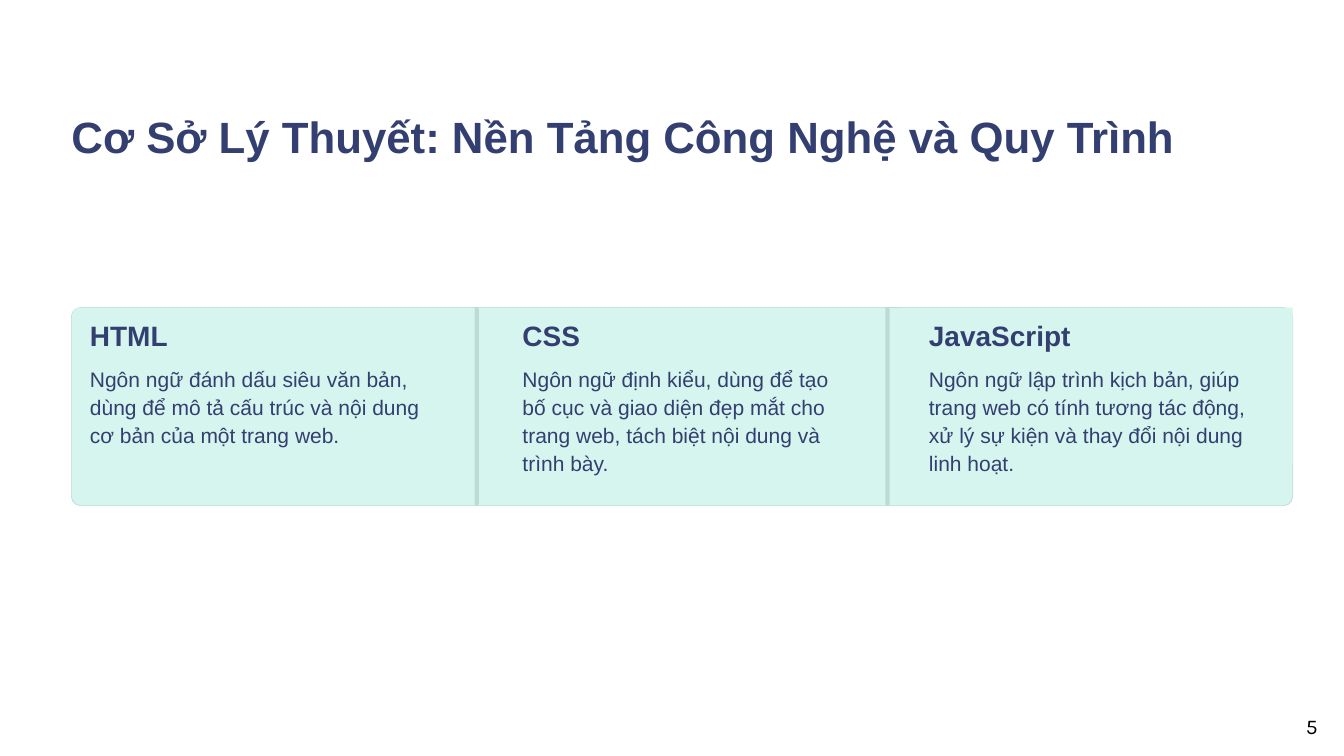
from dataclasses import dataclass

from pptx import Presentation
from pptx.dml.color import RGBColor
from pptx.enum.shapes import MSO_SHAPE
from pptx.enum.text import MSO_ANCHOR, MSO_AUTO_SIZE, PP_ALIGN
from pptx.util import Cm, Pt


@dataclass(frozen=True)
class Theme:
    ink: str = "333F70"
    mint: str = "D6F5EE"
    edge: str = "BCDBD4"
    black: str = "000000"
    font: str = "Arial"
    number_font: str = "Karla"
    title_size: float = 37.5
    heading_size: float = 24
    body_size: float = 18


class SlideBuilder:
    def __init__(self, presentation, theme):
        self.theme = theme
        self.slide = presentation.slides.add_slide(presentation.slide_layouts[5])

    def set_text(self, shape, text, size, spacing=None, bold=False, color=None, font=None, inset=0):
        frame = shape.text_frame
        frame.word_wrap = True
        frame.auto_size = MSO_AUTO_SIZE.NONE
        frame.vertical_anchor = MSO_ANCHOR.TOP
        frame.margin_left = frame.margin_right = Cm(inset)
        frame.margin_top = frame.margin_bottom = Cm(inset / 2)
        paragraph = frame.paragraphs[0]
        paragraph.alignment = PP_ALIGN.LEFT
        if spacing:
            paragraph.line_spacing = Pt(spacing)
        run = paragraph.add_run()
        run.text = text
        run.font.size = Pt(size)
        run.font.bold = bold
        run.font.name = font or self.theme.font
        run.font.color.rgb = RGBColor.from_string(color or self.theme.ink)

    def title(self, text, left, top, width, height):
        shape = self.slide.shapes.title
        shape.left, shape.top = Cm(left), Cm(top)
        shape.width, shape.height = Cm(width), Cm(height)
        self.set_text(shape, text, self.theme.title_size, 47, bold=True)

    def text(self, text, left, top, width, height, size, **style):
        shape = self.slide.shapes.add_textbox(Cm(left), Cm(top), Cm(width), Cm(height))
        self.set_text(shape, text, size, **style)

    def panel(self, left, top, width, height, fill, corner=None, line=None):
        kind = MSO_SHAPE.RECTANGLE if corner is None else MSO_SHAPE.ROUNDED_RECTANGLE
        shape = self.slide.shapes.add_shape(kind, Cm(left), Cm(top), Cm(width), Cm(height))
        shape.shadow.inherit = False
        shape.fill.solid()
        shape.fill.fore_color.rgb = RGBColor.from_string(fill)
        if corner is not None:
            shape.adjustments[0] = corner
        if line:
            shape.line.color.rgb = RGBColor.from_string(line)
            shape.line.width = Pt(0.6)
        else:
            shape.line.fill.background()


def main():
    presentation = Presentation()
    presentation.slide_width, presentation.slide_height = Cm(40.64), Cm(22.86)
    theme = Theme()
    builder = SlideBuilder(presentation, theme)

    # Title
    left, width = 2.16, 36.93
    builder.title("Cơ Sở Lý Thuyết: Nền Tảng Công Nghệ và Quy Trình", left, 3.25, width, 3.33)

    # Card behind the three columns
    top, height = 9.3, 5.99
    builder.panel(left, top, width, height, theme.mint, corner=0.046, line=theme.edge)

    # Columns: panel left, panel width, corner, divider left, text left, text width
    columns = [
        (2.18, 12.29, 0.047, None, 2.72, 10.44, "HTML",
         "Ngôn ngữ đánh dấu siêu văn bản, dùng để mô tả cấu trúc và nội dung "
         "cơ bản của một trang web."),
        (14.48, 12.29, None, 14.35, 15.8, 9.65, "CSS",
         "Ngôn ngữ định kiểu, dùng để tạo bố cục và giao diện đẹp mắt cho "
         "trang web, tách biệt nội dung và trình bày."),
        (27.18, 11.91, None, 26.77, 28.09, 10.44, "JavaScript",
         "Ngôn ngữ lập trình kịch bản, giúp trang web có tính tương tác động, "
         "xử lý sự kiện và thay đổi nội dung linh hoạt."),
    ]
    for panel_left, panel_width, corner, divider, text_left, text_width, heading, body in columns:
        builder.panel(panel_left, top, panel_width, 4.75, theme.mint, corner)
        if divider is not None:
            builder.panel(divider, top, 0.13, height, theme.edge, corner=0.5)
        builder.text(heading, text_left, 9.83, 6.63, 0.84, theme.heading_size,
                     spacing=23.5, bold=True)
        builder.text(body, text_left, 11, text_width, 2.54, theme.body_size, spacing=24)

    # Page number
    builder.text("5", 39.24, 21.46, 1.12, 1.02, theme.body_size,
                 color=theme.black, font=theme.number_font, inset=0.25)

    presentation.save("out.pptx")


if __name__ == "__main__":
    main()
